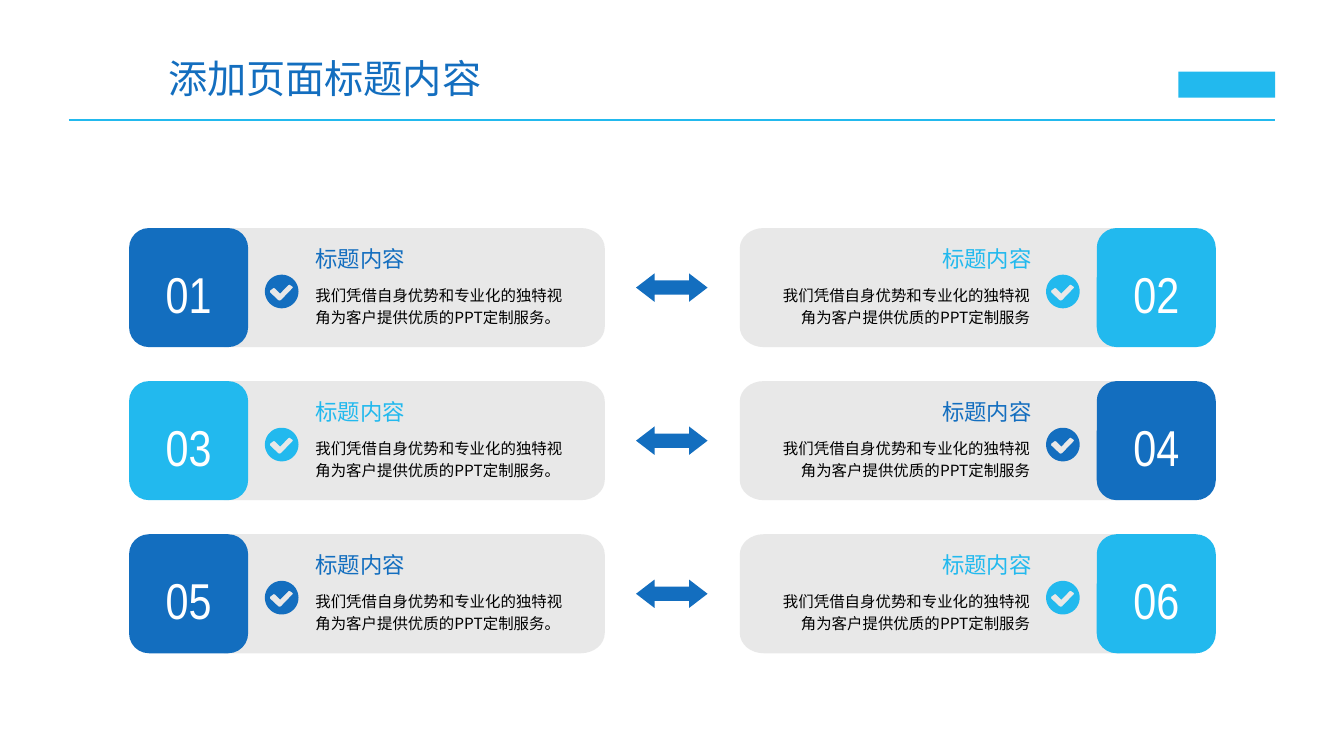
from math import cos, pi, sin

from lxml import etree
from pptx import Presentation
from pptx.dml.color import RGBColor
from pptx.enum import shapes, text
from pptx.oxml.ns import qn
from pptx.util import Pt

BLUE = RGBColor(0x13, 0x6E, 0xBF)
CYAN = RGBColor(0x22, 0xB9, 0xEE)
GREY = RGBColor(0xE6, 0xE6, 0xE6)
WHITE = RGBColor(0xFF, 0xFF, 0xFF)
BLACK = RGBColor(0, 0, 0)
CJK = "Noto Sans CJK SC"
LEFT, RIGHT, CENTER = text.PP_ALIGN.LEFT, text.PP_ALIGN.RIGHT, text.PP_ALIGN.CENTER

ROW_TOP, ROW_PITCH, ROW_COUNT = 162.9, 109.35, 3
TILE = 85
CORNER_W, CORNER_H = 17, 14.4
ICON_RADIUS = 12
TICK = [(7.6, -3.6), (6.1, -4.6), (5.4, -5), (4.7, -4.6), (-1.1, 1.4), (-4.7, -2.2),
        (-5.7, -2.6), (-6.3, -2.2), (-8.3, -0.7), (-8.5, 0), (-8.3, 0.7), (-2.5, 6.2),
        (-1.6, 6.5), (-0.5, 6.2), (7.6, -2.2), (8.1, -2.8)]
BODY = "我们凭借自身优势和专业化的独特视角为客户提供优质的PPT定制服务"

# tile x, card inner edge, card outer edge, icon centre, heading x, body x, alignment, body text
SIDES = [
    (92.2, 160, 432, 201.2, 218.2, 218.2, LEFT, BODY + "。"),
    (783.4, 800, 528.5, 759.2, 639.4, 541.4, RIGHT, BODY),
]

deck = Presentation()
deck.slide_width, deck.slide_height = Pt(960), Pt(540)
slide = deck.slides.add_slide(deck.slide_layouts[6])


def paint(shape, color):
    shape.shadow.inherit = False
    shape.fill.solid()
    shape.fill.fore_color.rgb = color
    shape.line.fill.background()
    return shape


def write(shape, words, size, color, align=LEFT, font=CJK, spacing=None):
    """Put one styled run into the shape's first paragraph."""
    shape.text_frame.word_wrap = True
    paragraph = shape.text_frame.paragraphs[0]
    paragraph.alignment = align
    paragraph.line_spacing = spacing
    run = paragraph.add_run()
    run.text = words
    run.font.size = Pt(size)
    run.font.color.rgb = color
    run.font.name = font
    etree.SubElement(run.font._element, qn("a:ea"), typeface=font)


# Header
rule = slide.shapes.add_connector(shapes.MSO_CONNECTOR.STRAIGHT, Pt(49.2), Pt(85.7), Pt(910.8), Pt(85.7))
rule.line.color.rgb = CYAN
rule.line.width = Pt(2)
etree.SubElement(rule._element.spPr, qn("a:effectLst"))
paint(slide.shapes.add_shape(shapes.MSO_SHAPE.RECTANGLE, Pt(841.7), Pt(51.1), Pt(69.1), Pt(18.7)), CYAN)
title = slide.shapes.add_textbox(Pt(113), Pt(35.3), Pt(253.4), Pt(41))
title.text_frame.vertical_anchor = text.MSO_ANCHOR.MIDDLE
title.text_frame.auto_size = text.MSO_AUTO_SIZE.SHAPE_TO_FIT_TEXT
write(title, "添加页面标题内容", 28, BLUE)

# Numbered cards, two to a row
for row in range(ROW_COUNT):
    top = ROW_TOP + row * ROW_PITCH
    bottom = top + TILE
    arrow = slide.shapes.add_shape(shapes.MSO_SHAPE.LEFT_RIGHT_ARROW, Pt(454.3), Pt(top + 32.4), Pt(51.1), Pt(20.3))
    arrow.adjustments[0], arrow.adjustments[1] = 0.5, 0.651
    paint(arrow, BLUE)

    for column, side in enumerate(SIDES):
        tile_x, inner, outer, icon_x, heading_x, body_x, align, body_words = side
        accent = CYAN if (row + column) % 2 else BLUE

        # Card: square at the tile, rounded at the far end
        bend = CORNER_W if outer > inner else -CORNER_W
        turns = [step * pi / 16 for step in range(9)]
        upper = [(outer - bend * (1 - sin(t)), top + CORNER_H * (1 - cos(t))) for t in turns]
        lower = [(x, top + bottom - y) for x, y in reversed(upper)]
        outline = [(Pt(x), Pt(y)) for x, y in upper + lower + [(inner, bottom)]]
        card = slide.shapes.build_freeform(Pt(inner), Pt(top))
        card.add_line_segments(outline)
        card = paint(card.convert_to_shape(), GREY)
        etree.SubElement(card.fill._xPr.find(".//" + qn("a:srgbClr")), qn("a:alpha"), val="90000")

        # Disc with the tick cut out
        icon_y = top + 45.3
        angles = [step * pi / 30 for step in range(1, 60)]
        disc = [(ICON_RADIUS * cos(a), ICON_RADIUS * sin(a)) for a in angles]
        disc, tick = [[(Pt(icon_x + x), Pt(icon_y + y)) for x, y in part] for part in (disc, TICK)]
        icon = slide.shapes.build_freeform(Pt(icon_x + ICON_RADIUS), Pt(icon_y))
        icon.add_line_segments(disc)
        icon.move_to(*tick[0])
        icon.add_line_segments(tick[1:])
        paint(icon.convert_to_shape(), accent)

        tile = slide.shapes.add_shape(shapes.MSO_SHAPE.ROUNDED_RECTANGLE, Pt(tile_x), Pt(top), Pt(TILE), Pt(TILE))
        paint(tile, accent)
        frame = tile.text_frame
        frame.margin_left = frame.margin_right = frame.margin_top = frame.margin_bottom = 0
        frame.vertical_anchor = text.MSO_ANCHOR.MIDDLE
        write(tile, f"{row * 2 + column + 1:02}", 36, WHITE, CENTER, "Arial Narrow", 1.2)

        heading = slide.shapes.add_textbox(Pt(heading_x), Pt(top + 8.6), Pt(104.4), Pt(26.6))
        write(heading, "标题内容", 16, accent, align)
        body = slide.shapes.add_textbox(Pt(body_x), Pt(top + 35.3), Pt(201.6), Pt(39.6))
        write(body, body_words, 11, BLACK, align, spacing=1.2)
        for box in (heading, body):
            box.text_frame.auto_size = text.MSO_AUTO_SIZE.SHAPE_TO_FIT_TEXT

deck.save("out.pptx")
